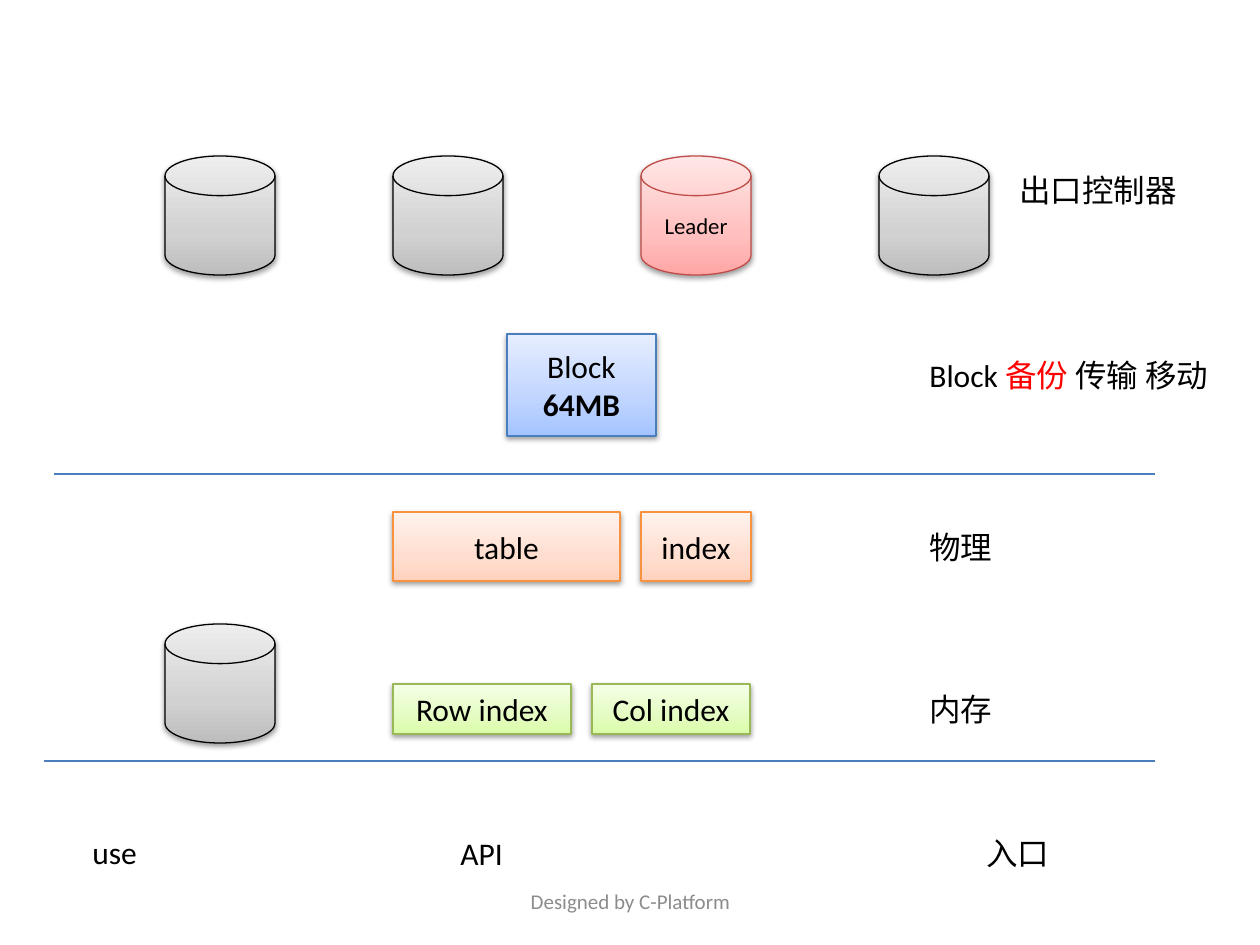
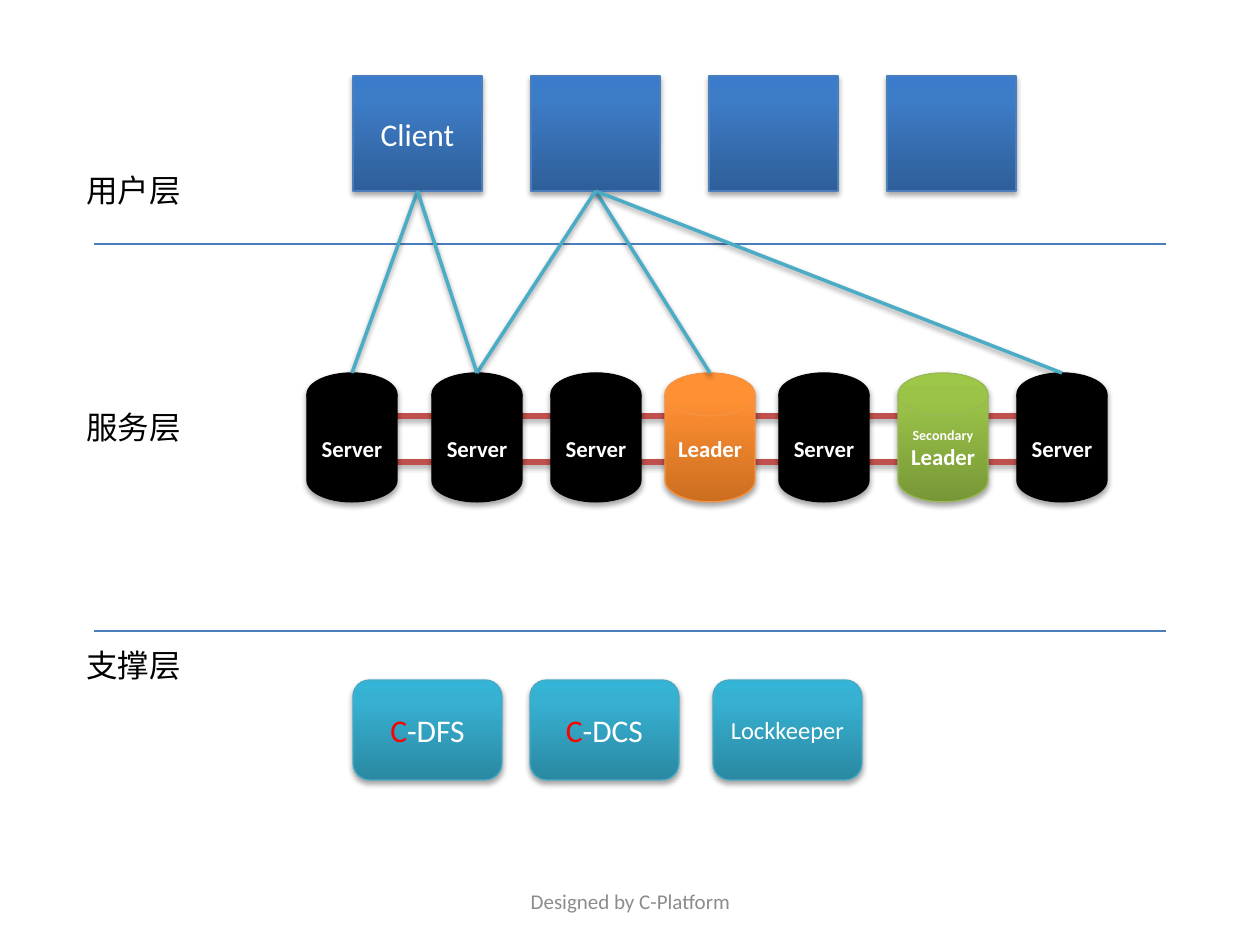
"""Build two architecture slides: storage layers and cluster layers."""
from copy import deepcopy

from lxml.etree import SubElement
from pptx import Presentation
from pptx.dml.color import RGBColor
from pptx.enum.shapes import MSO_CONNECTOR as Connector, MSO_SHAPE as Shape
from pptx.enum.text import MSO_ANCHOR as Anchor, MSO_AUTO_SIZE as AutoSize, PP_ALIGN as Align
from pptx.oxml.ns import qn
from pptx.util import Pt

PX = 914400 / 126
COLORS = {
    "black": "000000", "white": "FFFFFF", "red": "FF0000", "footer": "8C8C8C",
    "divider": "4B7EBC", "ring": "C0504D", "link": "4BACC6",
}
SOFT, STRONG = (38, 20000), (35, 23000)
LOOKS = {
    "node": ("000000", ["BDBDBD", "D1D1D1", "EEEEEE"], SOFT),
    "chosen": ("BF4C48", ["FFA6A5", "FFC0BF", "FFE7E7"], SOFT),
    "block": ("4B7EBC", ["A4C4FF", "BFD4FF", "E6EEFF"], SOFT),
    "physical": ("F69240", ["FFD2BD", "FFDED0", "FFF2ED"], SOFT),
    "memory": ("98B955", ["DAFDA7", "E4FCC2", "F5FFE7"], SOFT),
    "client": ("4B7EBC", ["2F5F99", "3D7CC7", "3A7CCB"], STRONG),
    "server": ("000000", ["000000"], STRONG),
    "leader": ("F69240", ["CC6E20", "FF9034", "FF9136"], STRONG),
    "secondary": ("98B955", ["779737", "9BC348", "9DC746"], STRONG),
    "support": ("46AAC5", ["2A88A2", "37B1D2", "34B4D6"], STRONG),
}


def px(*lengths):
    return [round(length * PX) for length in lengths]


def rgb(name):
    return RGBColor.from_string(COLORS.get(name, name))


def write(frame, *lines, size=18, color="black", bold=False, align=Align.LEFT):
    for number, line in enumerate(lines):
        paragraph = frame.paragraphs[0] if number == 0 else frame.add_paragraph()
        paragraph.alignment = align
        for text, changes in [(line, {})] if isinstance(line, str) else line:
            run = paragraph.add_run()
            run.text = text
            run.font.name = "Calibri"
            run.font.size = Pt(changes.get("size", size))
            run.font.bold = changes.get("bold", bold)
            run.font.color.rgb = rgb(changes.get("color", color))


class Deck:
    """Holds the shared style and the current slide."""

    def __init__(self):
        self.file = Presentation()
        self.file.slide_width, self.file.slide_height = px(1260, 945)

    def start(self):
        self.slide = self.file.slides.add_slide(self.file.slide_layouts[6])

    def shade(self, element, shadow):
        properties = element.spPr
        effects = properties.find(qn("a:effectLst"))
        if effects is None:
            effects = SubElement(properties, qn("a:effectLst"))
        if shadow:
            opacity, distance = shadow
            outer = SubElement(effects, qn("a:outerShdw"), blurRad="40000",
                               dist=str(distance), dir="5400000", rotWithShape="0")
            tone = SubElement(outer, qn("a:srgbClr"), val=COLORS["black"])
            SubElement(tone, qn("a:alpha"), val=str(opacity * 1000))

    def box(self, kind, look, left, top, width, height, *lines, **style):
        edge, tones, shadow = LOOKS[look]
        shape = self.slide.shapes.add_shape(kind, *px(left, top, width, height))
        if len(tones) == 1:
            shape.fill.solid()
            shape.fill.fore_color.rgb = rgb(tones[0])
        else:
            self.blend(shape.fill, tones, 0.35 if shadow == SOFT else 0.8)
        shape.line.color.rgb = rgb(edge)
        shape.line.width = Pt(0.75)
        shape.shadow.inherit = False
        self.shade(shape._element, shadow)
        write(shape.text_frame, *lines, align=Align.CENTER, **style)

    def blend(self, fill, tones, middle):
        fill.gradient()
        fill.gradient_angle = 90
        first = fill.gradient_stops[0]._gs
        first.addnext(deepcopy(first))
        for stop, tone, position in zip(fill.gradient_stops, tones, (0, middle, 1)):
            stop.color.rgb = rgb(tone)
            stop.position = position

    def disk(self, *args, **style):
        self.box(Shape.FLOWCHART_MAGNETIC_DISK, *args, **style)

    def rect(self, *args, **style):
        self.box(Shape.RECTANGLE, *args, **style)

    def line(self, start, end, color="divider", weight=0.75, shadow=None):
        line = self.slide.shapes.add_connector(Connector.STRAIGHT, *px(*start, *end))
        line.line.color.rgb = rgb(color)
        line.line.width = Pt(weight)
        self.shade(line._element, shadow)

    def label(self, left, top, width, *lines, wrap=False):
        frame = self.slide.shapes.add_textbox(*px(left, top, width, 50)).text_frame
        frame.word_wrap = wrap
        frame.auto_size = AutoSize.SHAPE_TO_FIT_TEXT
        write(frame, *lines)

    def footer(self):
        frame = self.slide.shapes.add_textbox(*px(431, 876, 399, 50)).text_frame
        frame.word_wrap = True
        frame.vertical_anchor = Anchor.MIDDLE
        write(frame, "Designed by C-Platform", size=12, color="footer", align=Align.CENTER)


def storage_layers(deck):
    deck.start()
    for left, top in ((165, 156), (393, 156), (879, 156), (165, 624)):
        deck.disk("node", left, top, 110, 119)
    deck.disk("chosen", 641, 156, 110, 119, "Leader", size=13)
    deck.rect("block", 507, 334, 149, 102, [("Block ", {}), ("64MB", {"bold": True})])
    for look, left, top, width, height, name in (
        ("physical", 393, 512, 227, 69, "table"),
        ("physical", 641, 512, 110, 69, "index"),
        ("memory", 393, 684, 178, 50, "Row index"),
        ("memory", 592, 684, 158, 50, "Col index"),
    ):
        deck.rect(look, left, top, width, height, name)
    deck.line((54, 474), (1155, 474))
    deck.line((44, 761), (1155, 761))
    deck.label(917, 350, 307, [("Block ", {}), ("备份", {"color": "red"}), (" 传输 移动", {})],
               wrap=True)
    for left, top, width, name in (
        (1007, 165, 184, "出口控制器"), (917, 522, 89, "物理"), (917, 684, 89, "内存"),
        (80, 827, 71, "use"), (448, 828, 68, "API"), (974, 828, 89, "入口"),
    ):
        deck.label(left, top, width, name)
    deck.footer()


def cluster_layers(deck):
    deck.start()
    clients = [353 + 178 * i for i in range(4)]
    servers = [307, 432, 551, 665, 779, 898, 1017]
    client_width, client_bottom = 129, 191
    server_width, server_top = 90, 373
    for ring in (462, 416):
        deck.line((353, ring), (1062, ring), "ring", 3, STRONG)
    deck.footer()
    for top, layer in ((165, "用户层"), (402, "服务层"), (640, "支撑层")):
        deck.label(74, top, 121, layer)
    for divider in (244, 631):
        deck.line((94, divider), (1166, divider))
    for left, names in zip(clients, (["Client"], [], [], [])):
        deck.rect("client", left, 76, client_width, client_bottom - 76, *names, color="white")
    special = {3: ("leader", ["Leader"]),
               5: ("secondary", [[("Secondary", {"size": 8})], "Leader"])}
    for number, left in enumerate(servers):
        look, names = special.get(number, ("server", ["Server"]))
        deck.disk(look, left, server_top, server_width, 129, *names,
                  size=13, color="white", bold=True)
    initial = ("C", {"color": "red"})
    for left, name, size in ((353, [initial, ("-DFS", {})], 18),
                             (530, [initial, ("-DCS", {})], 18),
                             (713, "Lockkeeper", 14)):
        deck.box(Shape.ROUNDED_RECTANGLE, "support", left, 680, 149, 100, name,
                 size=size, color="white")
    for client, server in ((0, 0), (1, 3), (1, 6), (1, 1), (0, 1)):
        deck.line((clients[client] + client_width / 2, client_bottom),
                  (servers[server] + server_width / 2, server_top), "link", 2, SOFT)


def main():
    deck = Deck()
    storage_layers(deck)
    cluster_layers(deck)
    deck.file.save("out.pptx")


if __name__ == "__main__":
    main()
